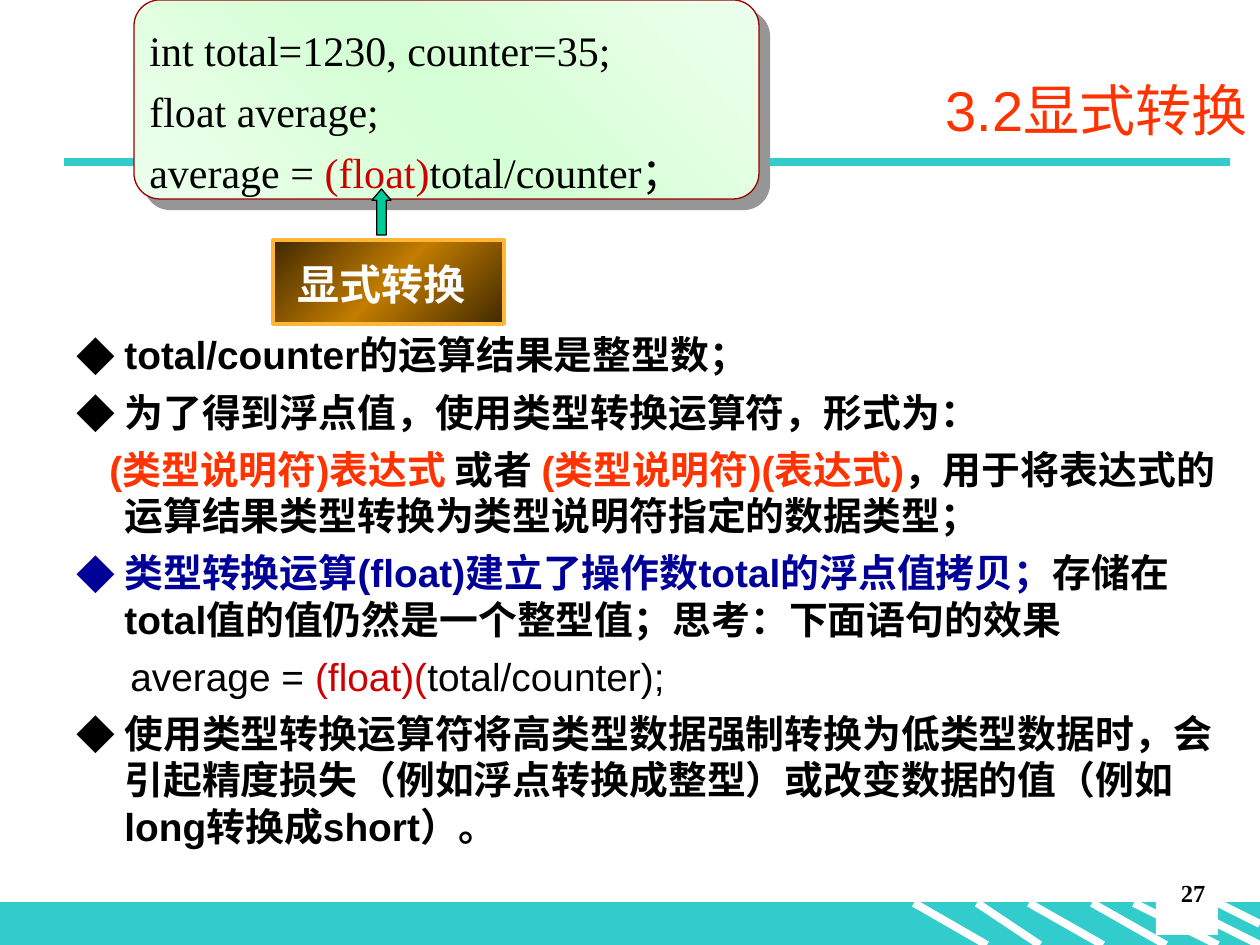
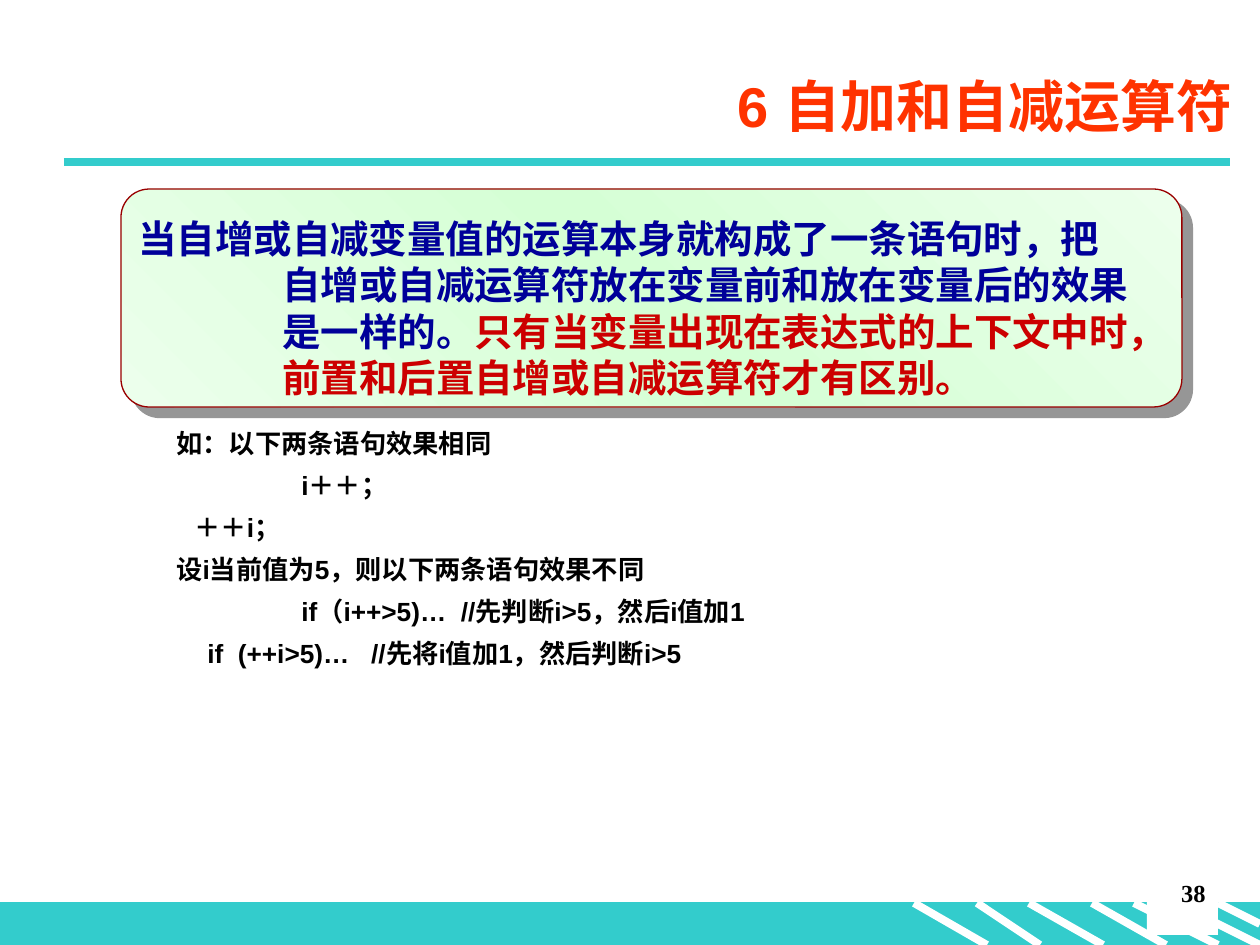
"""Build two lecture slides on explicit type conversion and on increment operators."""
from copy import deepcopy

from lxml import etree
from pptx import Presentation
from pptx.dml.color import RGBColor
from pptx.enum import shapes, text
from pptx.oxml import ns
from pptx.util import Pt

PX = 914400 / 126
WHITE = RGBColor(0xFF, 0xFF, 0xFF)
BLACK = RGBColor(0, 0, 0)
TEAL = RGBColor(0x33, 0xCC, 0xCC)
ORANGE = RGBColor(0xFF, 0x33, 0x00)
NAVY = RGBColor(0x00, 0x00, 0x99)
RED = RGBColor(0xCC, 0x00, 0x00)
MAROON = RGBColor(0x99, 0x00, 0x00)
MINT = RGBColor(0xEC, 0xFF, 0xEC)
PALE_GREEN = RGBColor(0xD5, 0xFF, 0xD5)
SHADOW_GREY = RGBColor(0x96, 0x96, 0x96)
BROWN = RGBColor(0x41, 0x29, 0x00)
BRONZE = RGBColor(0xC2, 0x7C, 0x00)
GOLD = RGBColor(0xFF, 0xB7, 0x35)
GREEN = RGBColor(0x00, 0xCC, 0x99)
SANS, SERIF, CJK = "Arial", "Times New Roman", "Noto Sans CJK SC"
LEFT, CENTER, RIGHT = text.PP_ALIGN.LEFT, text.PP_ALIGN.CENTER, text.PP_ALIGN.RIGHT
BOX, CARD = shapes.MSO_SHAPE.RECTANGLE, shapes.MSO_SHAPE.ROUNDED_RECTANGLE


def write(shape, paragraphs, size, font, bold=True, align=LEFT, anchor=text.MSO_ANCHOR.TOP):
    frame = shape.text_frame
    frame.word_wrap = True
    frame.vertical_anchor = anchor
    for number, (margin, indent, bullet, runs) in enumerate(paragraphs):
        line = frame.add_paragraph() if number else frame.paragraphs[0]
        line.alignment = align
        line.line_spacing = Pt(round(size * 1.2, 1))
        line.space_before = Pt(6 if number else 0)
        props = line._p.get_or_add_pPr()
        props.set("marL", str(round(margin * PX)))
        props.set("indent", str(round(indent * PX)))
        if bullet is None:
            etree.SubElement(props, ns.qn("a:buNone"))
        else:
            tint = etree.SubElement(props, ns.qn("a:buClr"))
            etree.SubElement(tint, ns.qn("a:srgbClr"), val=str(bullet))
            etree.SubElement(props, ns.qn("a:buFont"), typeface=CJK)
            etree.SubElement(props, ns.qn("a:buChar"), char="◆")
        for words, color, *weight in runs:
            run = line.add_run()
            run.text = words
            run.font.size = Pt(size)
            run.font.name = font
            run.font.bold = weight[0] if weight else bold
            run.font.color.rgb = color
            east = etree.SubElement(run._r.get_or_add_rPr(), ns.qn("a:ea"))
            east.set("typeface", CJK)


def add_gradient(slide, preset, place, edge, middle, angle, outline, width):
    panel = slide.shapes.add_shape(preset, *[round(v * PX) for v in place])
    panel.shadow.inherit = False
    panel.fill.gradient()
    panel.fill.gradient_angle = angle
    stops = panel._element.spPr.find(".//" + ns.qn("a:gsLst"))
    stops.append(deepcopy(stops[0]))
    for stop, position, color in zip(panel.fill.gradient_stops, (0, 0.5, 1), (edge, middle, edge)):
        stop.position = position
        stop.color.rgb = color
    panel.line.color.rgb = outline
    panel.line.width = Pt(width)
    if preset == CARD:
        panel.adjustments[0] = 0.13
        effects = panel._element.spPr.find(ns.qn("a:effectLst"))
        cast = etree.SubElement(effects, ns.qn("a:outerShdw"), dist=str(Pt(8.5)),
                                dir="2700000", algn="ctr", rotWithShape="0")
        etree.SubElement(cast, ns.qn("a:srgbClr"), val=str(SHADOW_GREY))


RULES = [(914, 903, 987, 945, WHITE), (977, 903, 1040, 945, WHITE),
         (1029, 903, 1103, 945, WHITE), (1092, 903, 1166, 945, WHITE),
         (1134, 903, 1218, 945, WHITE), (1176, 903, 1260, 945, WHITE),
         (1218, 903, 1260, 924, WHITE), (64, 162, 1230, 162, TEAL)]

conversion_notes = [
    (48, -48, BLACK, [("total/counter的运算结果是整型数；", BLACK)]),
    (48, -48, BLACK, [("为了得到浮点值，使用类型转换运算符，形式为：", BLACK)]),
    (48, -15, None, [("(类型说明符)表达式", ORANGE), (" 或者 ", BLACK),
                     ("(类型说明符)(表达式)", ORANGE),
                     ("，用于将表达式的运算结果类型转换为类型说明符指定的数据类型；", BLACK)]),
    (48, -48, NAVY, [("类型转换运算(float)建立了操作数total的浮点值拷贝；", NAVY),
                     ("存储在total值的值仍然是一个整型值；思考：下面语句的效果", BLACK)]),
    (54, 0, None, [("average = ", BLACK, False), ("(float)(", RED, False),
                   ("total/counter);", BLACK, False)]),
    (48, -48, BLACK, [("使用类型转换运算符将高类型数据强制转换为低类型数据时，会引起精度损失"
                       "（例如浮点转换成整型）或改变数据的值（例如long转换成short）。", BLACK)]),
]
code_lines = [
    (0, 0, None, [("int total=1230, counter=35;", BLACK)]),
    (0, 0, None, [("float average;", BLACK)]),
    (0, 0, None, [("average = ", BLACK), ("(float)", RED), ("total/counter；", BLACK)]),
]
increment_rule = [
    (144, -144, None, [("当自增或自减变量值的运算本身就构成了一条语句时，把自增或自减运算符"
                        "放在变量前和放在变量后的效果是一样的。", NAVY),
                       ("只有当变量出现在表达式的上下文中时，前置和后置自增或自减运算符才有区别。", RED)]),
]
increment_examples = [
    (margin, 0, None, [(words, BLACK)]) for margin, words in (
        (48, "如：以下两条语句效果相同"),
        (173, "i＋＋；"),
        (66, "＋＋i；"),
        (48, "设i当前值为5，则以下两条语句效果不同"),
        (173, "if（i++>5)…  //先判断i>5，然后i值加1"),
        (79, "if  (++i>5)…   //先将i值加1，然后判断i>5"))
]

PAGES = [
    {"title": "3.2显式转换", "title_at": (189, 33, 1071, 152), "title_bold": False,
     "body": conversion_notes, "body_at": (64, 325, 1166, 597), "body_size": 22.2,
     "card_at": (134, 0, 625, 199), "card": code_lines, "card_text_at": (137, 18, 602, 185),
     "card_style": (24, SERIF, False), "number": "27", "number_at": (1156, 872, 62, 63)},
    {"title": "6 自加和自减运算符", "title_at": (174, 55, 1071, 100), "title_bold": True,
     "body": increment_examples, "body_at": (116, 421, 1071, 357), "body_size": 15,
     "card_at": (121, 189, 1061, 218), "card": increment_rule, "card_text_at": (126, 209, 1021, 198),
     "card_style": (22, CJK, True), "number": "38", "number_at": (1147, 872, 71, 63)},
]

deck = Presentation()
deck.slide_width = round(1260 * PX)
deck.slide_height = round(945 * PX)

for page in PAGES:
    slide = deck.slides.add_slide(deck.slide_layouts[6])
    band = slide.shapes.add_shape(BOX, 0, *[round(v * PX) for v in (903, 1260, 42)])
    band.shadow.inherit = False
    band.fill.solid()
    band.fill.fore_color.rgb = TEAL
    band.line.color.rgb = TEAL
    band.line.width = Pt(0.75)
    for *ends, color in RULES:
        rule = slide.shapes.add_connector(shapes.MSO_CONNECTOR.STRAIGHT, *[round(v * PX) for v in ends])
        rule.line.color.rgb = color
        rule.line.width = Pt(4.5)
        etree.SubElement(rule._element.spPr, ns.qn("a:effectLst"))

    title = slide.shapes.add_textbox(*[round(v * PX) for v in page["title_at"]])
    write(title, [(0, 0, None, [(page["title"], ORANGE)])], 32, SANS, page["title_bold"],
          RIGHT, text.MSO_ANCHOR.MIDDLE)
    body = slide.shapes.add_textbox(*[round(v * PX) for v in page["body_at"]])
    write(body, page["body"], page["body_size"], SANS)
    add_gradient(slide, CARD, page["card_at"], MINT, PALE_GREEN, 45, MAROON, 0.75)
    card_text = slide.shapes.add_textbox(*[round(v * PX) for v in page["card_text_at"]])
    write(card_text, page["card"], *page["card_style"])

    number = slide.shapes.add_shape(BOX, *[round(v * PX) for v in page["number_at"]])
    number.shadow.inherit = False
    number.fill.solid()
    number.fill.fore_color.rgb = WHITE
    number.line.fill.background()
    write(number, [(0, 0, None, [(page["number"], BLACK)])], 14, SERIF, align=RIGHT)

conversion = deck.slides[0]
add_gradient(conversion, BOX, (273, 240, 231, 84), BROWN, BRONZE, 315, GOLD, 2.25)
label = conversion.shapes.add_textbox(*[round(v * PX) for v in (285, 252, 194, 63)])
write(label, [(0, 0, None, [("显式转换", WHITE)])], 24, SERIF, align=CENTER)
pointer = conversion.shapes.add_shape(shapes.MSO_SHAPE.UP_ARROW,
                                      *[round(v * PX) for v in (372, 189, 19, 46)])
pointer.shadow.inherit = False
pointer.adjustments[1] = 0.59
pointer.fill.solid()
pointer.fill.fore_color.rgb = GREEN
pointer.line.color.rgb = BLACK
pointer.line.width = Pt(0.75)

deck.save("out.pptx")
